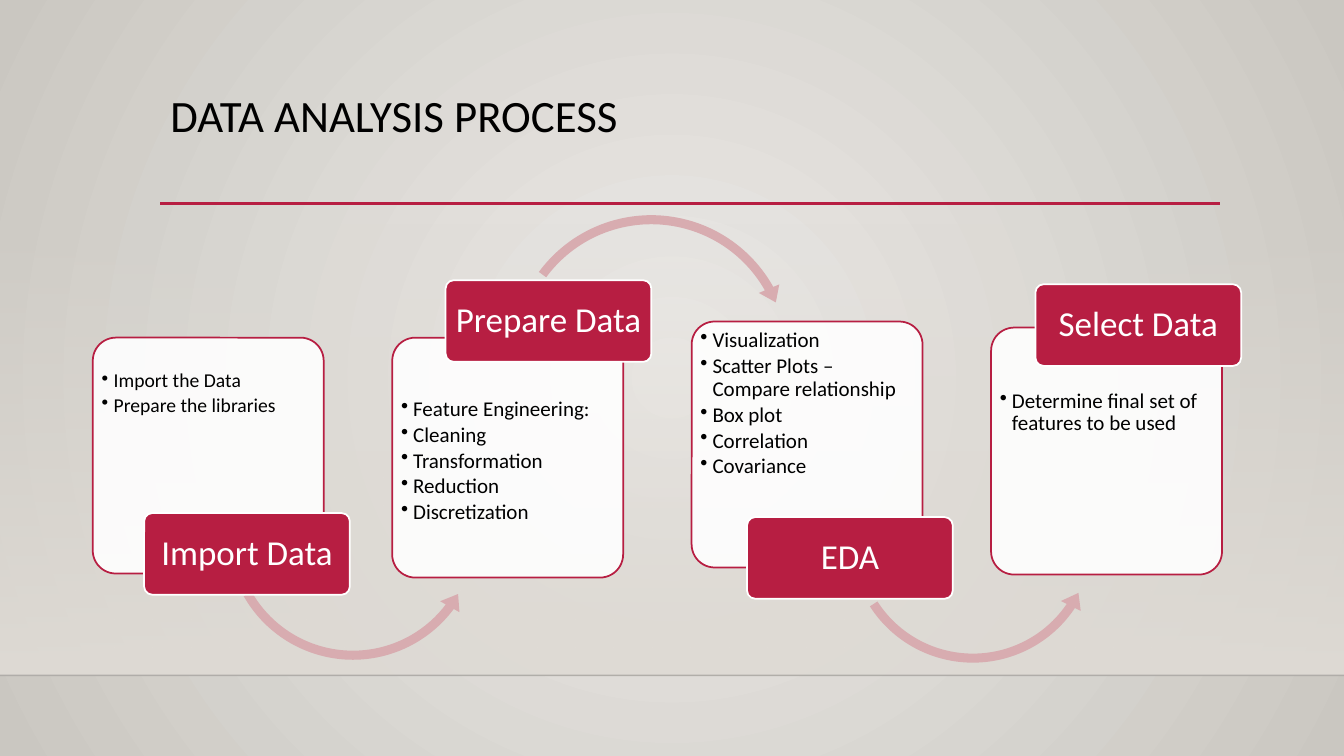
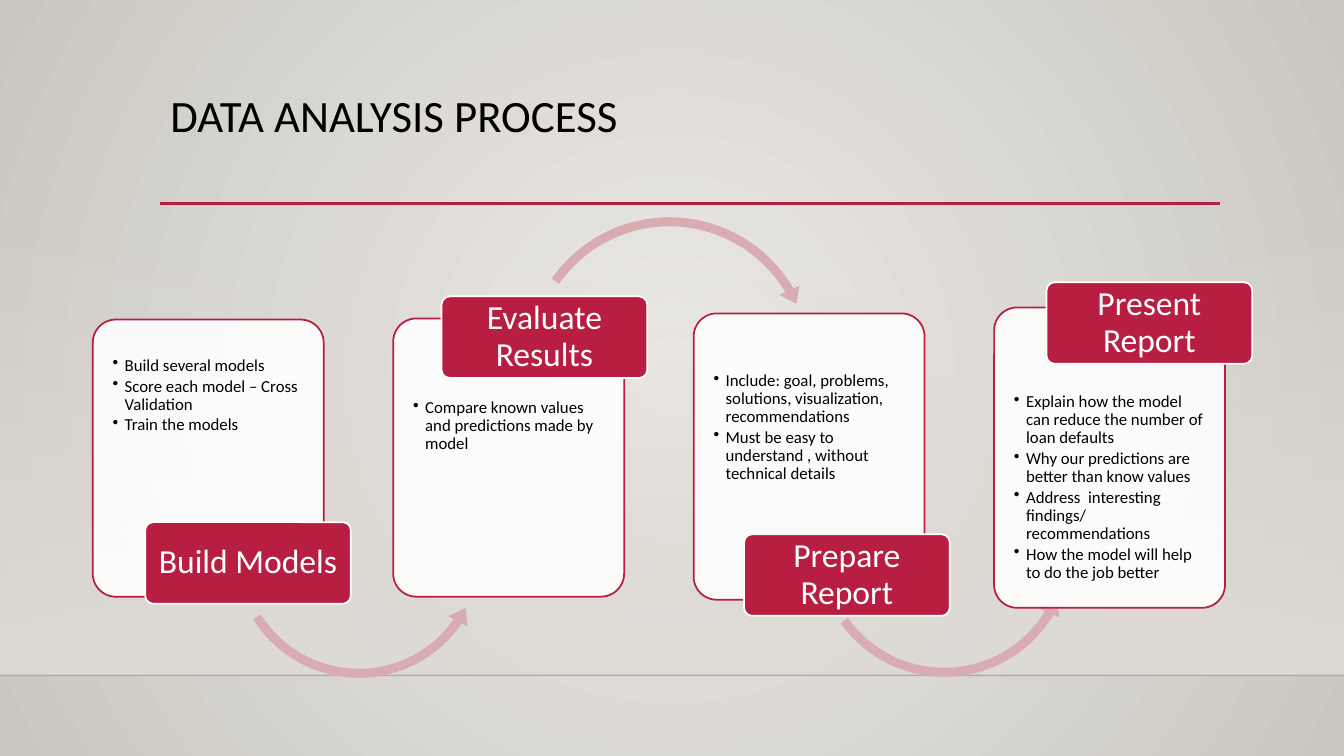
from collections import namedtuple

from lxml.etree import SubElement
from pptx import Presentation
from pptx.dml.color import RGBColor
from pptx.enum.shapes import MSO_CONNECTOR, MSO_SHAPE
from pptx.enum.text import MSO_ANCHOR, MSO_AUTO_SIZE, PP_ALIGN
from pptx.oxml.ns import qn
from pptx.util import Inches, Pt

WIDTH, HEIGHT = 13.33, 7.5
FONT = "Calibri"
COLORS = {
    "glow": "ECEAE7", "edge": "CAC7C1", "wall": "DFDBD5", "floor": "000001",
    "accent": "B71E42", "arrow": "D8ACB0", "white": "FFFFFF", "text": "000000",
}
TITLE_BOX = (1.59, 0.88, 10.5, 1.15)
STEPS_ORIGIN = (0.92, 3)
CARD_WIDTH, LABEL_WIDTH, LABEL_HEIGHT = 2.29, 2.04, 0.81
CORNER = 0.1
CORNER_INSET = 0.29 * CORNER

Arrow = namedtuple("Arrow", "dx dy size tip tail")
Step = namedtuple("Step", "label label_dx label_dy top height lead items arrow")
Process = namedtuple("Process", "title pitch label_size margin steps")

PROCESSES = [
    Process("DATA ANALYSIS PROCESS", 2.97, 25, 0.02, [
        Step("Import Data", 0.51, 1.74, 0.35, 2.34, 0.33,
             (14, ["Import the Data", "Prepare the libraries"]),
             Arrow(1.27, 0.64, 2.62, 36.8, 150.4)),
        Step("Prepare Data", 0.53, -0.57, 0.35, 2.38, 0.6,
             (15, ["Feature Engineering:", "Cleaning", "Transformation",
                   "Reduction", "Discretization"]),
             Arrow(1.12, -1.28, 2.9, 330.7, 216.4)),
        Step("EDA", 0.55, 1.94, 0.19, 2.44, 0.08,
             (15, ["Visualization", "Scatter Plots – Compare relationship",
                   "Box plot", "Correlation", "Covariance"]),
             Arrow(1.51, 0.89, 2.56, 33.9, 147.3)),
        Step("Select Data", 0.44, -0.43, 0.25, 2.45, 0.62,
             (15, ["Determine final set of features to be used"]), None),
    ]),
    Process("DATA ANALYSIS PROCESS", 2.98, 24, 0.13, [
        Step("Build Models", 0.52, 2.01, 0.17, 2.75, 0.37,
             (12, ["Build several models", "Score each model – Cross Validation",
                   "Train the models"]),
             Arrow(1.34, 1.02, 2.6, 34.5, 148)),
        Step("Evaluate Results", 0.48, -0.22, 0.16, 2.76, 0.8,
             (12, ["Compare known values and predictions made by model"]),
             Arrow(1.25, -1.07, 2.98, 329.5, 215)),
        Step("Prepare Report", 0.5, 2.19, 0.11, 2.84, 0.58,
             (12, ["Include: goal, problems, solutions, visualization, recommendations",
                   "Must be easy to understand , without technical details"]),
             Arrow(1.16, 1.02, 2.65, 31, 144.7)),
        Step("Present Report", 0.52, -0.25, 0.05, 2.98, 0.85,
             (12, ["Explain how the model can reduce the number of loan defaults",
                   "Why our predictions are better than know values",
                   "Address  interesting findings/ recommendations",
                   "How the model will help to do the job better"]), None),
    ]),
]


def rgb(name):
    return RGBColor.from_string(COLORS[name])


def apply(target, **values):
    for name, value in values.items():
        setattr(target, name, value)


def set_alpha(element, percent):
    for color in element.iter(qn("a:srgbClr")):
        SubElement(color, qn("a:alpha"), val=str(percent * 1000))


def fill_gradient(fill, start, end):
    fill.gradient()
    for stop, name in zip(fill.gradient_stops, (start, end)):
        stop.color.rgb = rgb(name)


def add_block(shapes, kind, box, fill=None, line=None):
    shape = shapes.add_shape(kind, *map(Inches, box))
    shape.shadow.inherit = False
    if fill:
        shape.fill.solid()
        shape.fill.fore_color.rgb = rgb(fill)
    if line:
        apply(shape.line, width=Pt(1.25))
        shape.line.color.rgb = rgb(line)
    else:
        shape.line.fill.background()
    return shape


def add_rule(shapes, left, right, top, color, weight):
    rule = shapes.add_connector(
        MSO_CONNECTOR.STRAIGHT, *map(Inches, (left, top, right, top)))
    rule.line.color.rgb = rgb(color)
    rule.line.width = Pt(weight)
    SubElement(rule.element.spPr, qn("a:effectLst"))
    return rule


def write_text(frame, lines, size, color, align, margins, anchor, after=0):
    apply(frame, word_wrap=True, auto_size=MSO_AUTO_SIZE.NONE,
          vertical_anchor=anchor)
    sides = ("margin_left", "margin_top", "margin_right", "margin_bottom")
    apply(frame, **dict(zip(sides, map(Inches, margins))))
    for index, text in enumerate(lines):
        para = frame.add_paragraph() if index else frame.paragraphs[0]
        apply(para, alignment=align, line_spacing=0.9,
              space_before=Pt(0), space_after=Pt(after))
        span = para.add_run()
        span.text = text
        apply(span.font, name=FONT, size=Pt(size))
        span.font.color.rgb = rgb(color)


def add_bullets(frame):
    for para in frame.paragraphs:
        properties = para._p.get_or_add_pPr()
        properties.set("marL", str(Inches(0.12)))
        properties.set("indent", str(-Inches(0.12)))
        SubElement(properties, qn("a:buChar"), char="•")


def dress_layout(layout, shapes):
    for holder in list(layout.placeholders):
        if holder.placeholder_format.idx:
            holder.element.getparent().remove(holder.element)
    sides = ("left", "top", "width", "height")
    apply(layout.placeholders[0], **dict(zip(sides, map(Inches, TITLE_BOX))))

    fill_gradient(layout.background.fill, "glow", "edge")
    gradient = next(layout.element.iter(qn("a:gradFill")))
    gradient.remove(gradient.find(qn("a:lin")))
    center = SubElement(gradient, qn("a:path"))
    center.set("path", "circle")
    SubElement(center, qn("a:fillToRect"), l="50000", t="50000", r="50000", b="50000")

    wall = add_block(shapes, MSO_SHAPE.RECTANGLE, (0, 2.21, WIDTH, 4.49))
    fill_gradient(wall.fill, "wall", "wall")
    wall.fill.gradient_angle = 270
    set_alpha(next(wall.element.iter(qn("a:gs"))), 0)
    floor = add_rule(shapes, 0, WIDTH, 6.7, "floor", 1)
    set_alpha(floor.element.spPr, 20)
    underline = add_rule(shapes, 1.59, 12.1, 2.02, "accent", 2.5)
    for part in (wall, floor, underline):
        layout.shapes.element.append(part.element)


def add_card(shapes, left, top, step, margin):
    card = add_block(shapes, MSO_SHAPE.ROUNDED_RECTANGLE,
                     (left, top, CARD_WIDTH, step.height), "white", "accent")
    card.adjustments[0] = CORNER
    set_alpha(card.element.spPr.find(qn("a:solidFill")), 90)
    size, items = step.items
    lead = step.lead - CORNER_INSET * CARD_WIDTH
    write_text(card.text_frame, items, size, "text", PP_ALIGN.LEFT,
               (margin, lead, margin, 0), MSO_ANCHOR.TOP, size * 0.15)
    add_bullets(card.text_frame)


def add_arrow(shapes, left, top, arrow, below):
    kind = MSO_SHAPE.LEFT_CIRCULAR_ARROW if below else MSO_SHAPE.CIRCULAR_ARROW
    size = arrow.size
    shape = add_block(shapes, kind,
                      (left + arrow.dx, top + arrow.dy, size, size), "arrow")
    values = (0.09 / size, 11.3 / size, arrow.tip * 0.6, arrow.tail * 0.6, 0.11 / size)
    for index, value in enumerate(values):
        shape.adjustments[index] = value


def add_label(shapes, left, top, text, size):
    label = add_block(shapes, MSO_SHAPE.ROUNDED_RECTANGLE,
                      (left, top, LABEL_WIDTH, LABEL_HEIGHT), "accent", "white")
    label.adjustments[0] = CORNER
    write_text(label.text_frame, [text], size, "white", PP_ALIGN.CENTER,
               (0.05, 0.03, 0.05, 0.03), MSO_ANCHOR.MIDDLE)


def fill_page(page, process):
    write_text(page.shapes.title.text_frame, [process.title], 32, "text",
               PP_ALIGN.LEFT, (0.1, 0.05, 0.1, 0.05), MSO_ANCHOR.TOP)
    origin_left, origin_top = STEPS_ORIGIN
    for column, step in enumerate(process.steps):
        left = origin_left + column * process.pitch
        top = origin_top + step.top
        add_card(page.shapes, left, top, step, process.margin)
        if step.arrow:
            add_arrow(page.shapes, left, top, step.arrow, column % 2 == 0)
        add_label(page.shapes, left + step.label_dx, top + step.label_dy,
                  step.label, process.label_size)


def main():
    deck = Presentation()
    apply(deck, slide_width=Inches(WIDTH), slide_height=Inches(HEIGHT))
    layout = deck.slide_layouts.get_by_name("Title Only")
    pages = [deck.slides.add_slide(layout) for _ in PROCESSES]
    dress_layout(layout, pages[0].shapes)
    for page, process in zip(pages, PROCESSES):
        fill_page(page, process)
    deck.save("out.pptx")


if __name__ == "__main__":
    main()
